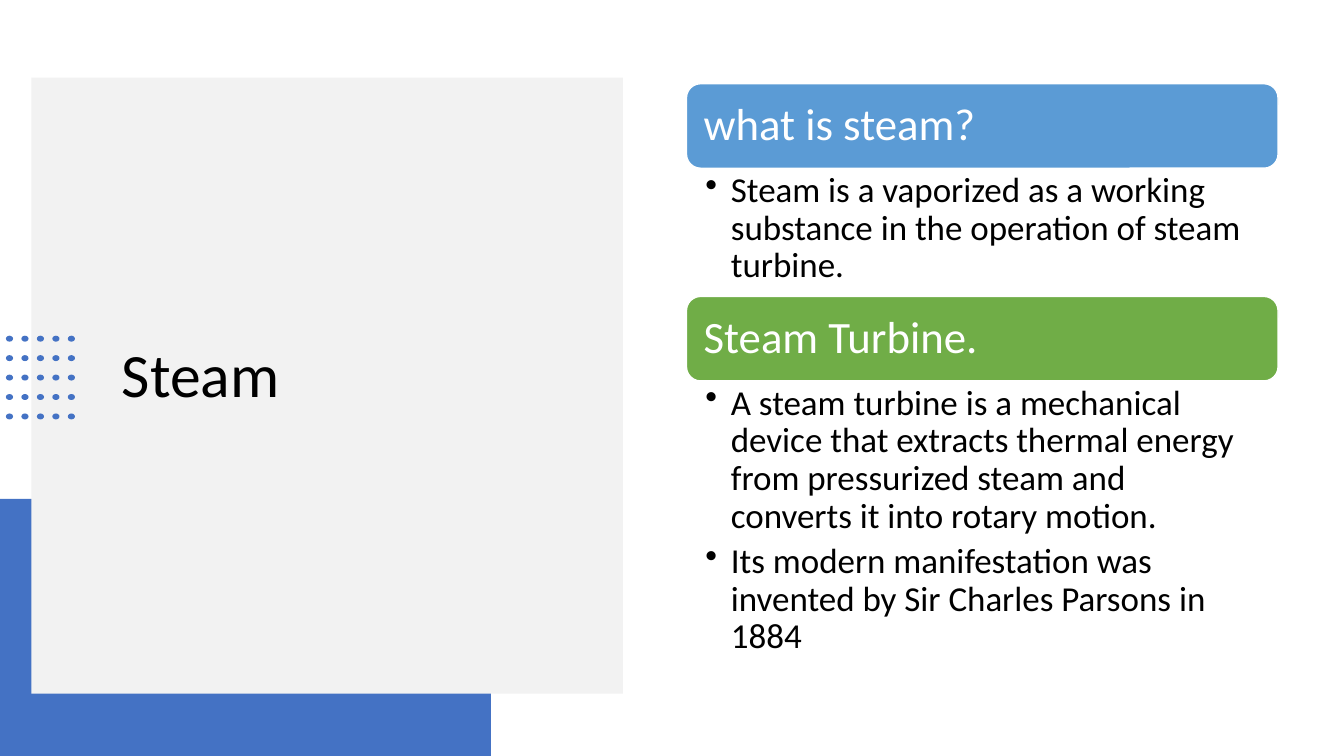
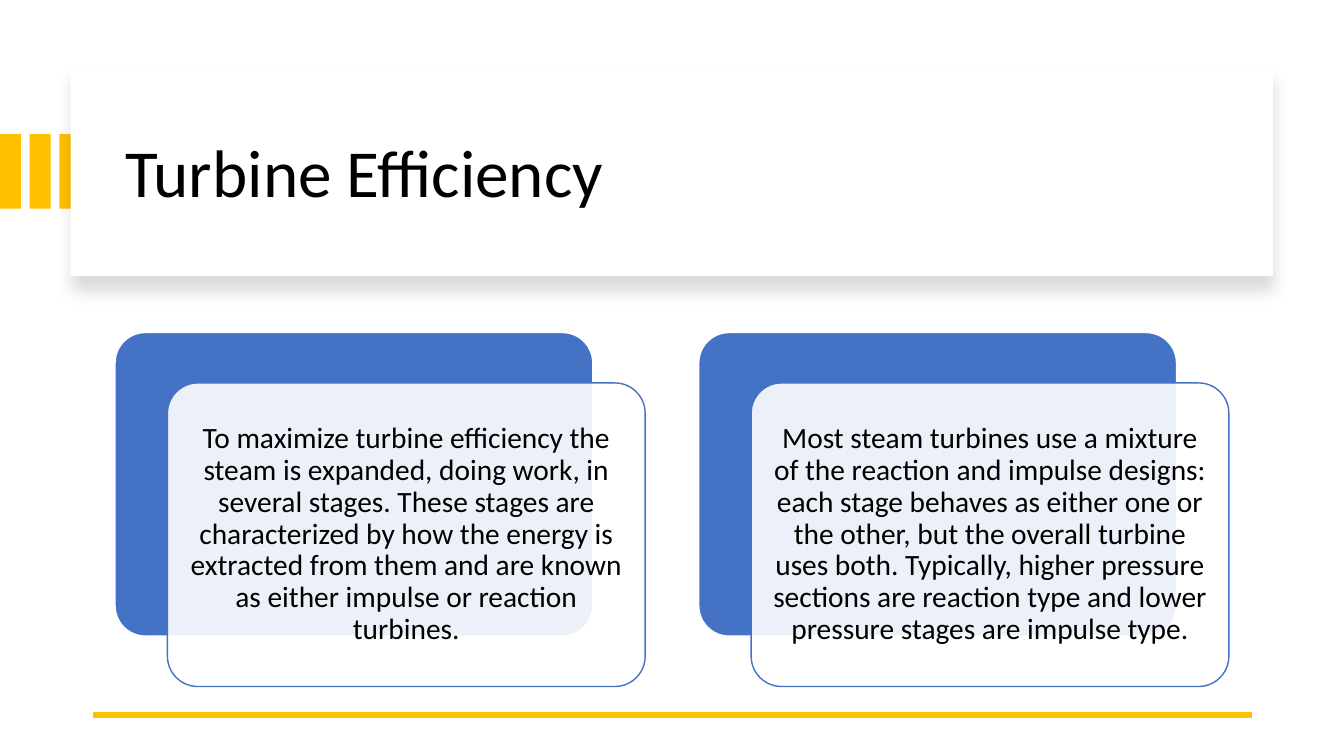
from lxml import etree
from pptx import Presentation
from pptx.dml.color import RGBColor
from pptx.enum import shapes, text
from pptx.oxml.ns import qn
from pptx.util import Cm, Pt

COLORS = {
    "blue": "4472C4", "sky": "5B9BD5", "green": "70AD47", "gold": "FFC000",
    "grey": "F2F2F2", "white": "FFFFFF", "black": "000000",
}
FONT = "Calibri"
RECT = shapes.MSO_SHAPE.RECTANGLE
ROUNDED = shapes.MSO_SHAPE.ROUNDED_RECTANGLE
LEFT, CENTER = text.PP_ALIGN.LEFT, text.PP_ALIGN.CENTER
MIDDLE, TOP = text.MSO_ANCHOR.MIDDLE, text.MSO_ANCHOR.TOP


def add_box(slide, kind, box, fill, line=None):
    """Add a flat preset shape; box is left, top, width, height in cm."""
    shape = slide.shapes.add_shape(kind, *map(Cm, box))
    shape.shadow.inherit = False
    shape.fill.solid()
    shape.fill.fore_color.rgb = RGBColor.from_string(COLORS[fill])
    if line:
        shape.line.color.rgb = RGBColor.from_string(COLORS[line])
        shape.line.width = Pt(1)
    else:
        shape.line.fill.background()
    return shape


def write(shape, content, size, color="black", align=LEFT, anchor=MIDDLE, insets=None):
    """Fill a shape with formatted text; insets are left, top, right, bottom in cm."""
    frame = shape.text_frame
    frame.word_wrap = True
    frame.vertical_anchor = anchor
    if insets:
        (frame.margin_left, frame.margin_top,
         frame.margin_right, frame.margin_bottom) = map(Cm, insets)
    frame.text = content
    for paragraph in frame.paragraphs:
        paragraph.alignment = align
        paragraph.line_spacing = 0.9
        font = paragraph.runs[0].font
        font.name = FONT
        font.size = Pt(size)
        font.color.rgb = RGBColor.from_string(COLORS[color])


presentation = Presentation()
presentation.slide_width, presentation.slide_height = Cm(33.87), Cm(19.05)
title_only = presentation.slide_layouts[5]
steam = presentation.slides.add_slide(title_only)
efficiency = presentation.slides.add_slide(title_only)

# Slide 1: backdrop, dot grid and headed bullet sections
add_box(steam, RECT, (0, 12.57, 12.37, 6.48), "blue")
add_box(steam, RECT, (0.79, 1.96, 14.91, 15.52), "grey")
for column in range(5):
    for row in range(5):
        dot = (0.15 + 0.39 * column, 8.46 + 0.49 * row, 0.18, 0.15)
        add_box(steam, shapes.MSO_SHAPE.OVAL, dot, "blue")

sections = [
    ("what is steam?", "sky", 3.23,
     ["Steam is a vaporized as a working substance in the operation of steam turbine."]),
    ("Steam Turbine.", "green", 7.37,
     ["A steam turbine is a mechanical device that extracts thermal energy "
      "from pressurized steam and converts it into rotary motion.",
      "Its modern manifestation was invented by Sir Charles Parsons in 1884"]),
]
section_left, section_width, heading_height = 17.3, 14.91, 2.13
top = 2.11
for heading, color, body_height, bullets in sections:
    bar = add_box(steam, ROUNDED, (section_left, top, section_width, heading_height),
                  color, "white")
    write(bar, heading, 32, "white", insets=[0.33] * 4)
    top += heading_height
    body = steam.shapes.add_textbox(Cm(section_left), Cm(top), Cm(section_width), Cm(body_height))
    write(body, "\n".join(bullets), 25, anchor=TOP, insets=(0.48, 0.1, 0.64, 0.1))
    for paragraph in body.text_frame.paragraphs:
        paragraph.space_after = Pt(5)
        properties = paragraph._p.get_or_add_pPr()
        properties.set("marL", str(Cm(0.64)))
        properties.set("indent", str(-Cm(0.64)))
        etree.SubElement(properties, qn("a:buChar"), char="•")
    top += body_height

# Slide 2: header panel, base line and layered cards
for column in range(3):
    add_box(efficiency, RECT, (0.75 * column, 3.38, 0.53, 1.88), "gold")

panel = add_box(efficiency, RECT, (1.78, 1.7, 30.3, 5.26), "white")
effects = panel._element.spPr.find(qn("a:effectLst"))
shadow = etree.SubElement(effects, qn("a:outerShdw"), blurRad=str(Pt(11)),
                          dist=str(Pt(10)), dir="5400000", rotWithShape="0")
shadow_color = etree.SubElement(shadow, qn("a:srgbClr"), val=COLORS["black"])
etree.SubElement(shadow_color, qn("a:alpha"), val="15000")

base_line = efficiency.shapes.add_connector(
    shapes.MSO_CONNECTOR.STRAIGHT, Cm(31.55), Cm(18.01), Cm(2.34), Cm(18.01))
base_line.line.color.rgb = RGBColor.from_string(COLORS["gold"])
base_line.line.width = Pt(4.5)
etree.SubElement(base_line._element.spPr, qn("a:effectLst"))

cards = [
    "To maximize turbine efficiency the steam is expanded, doing work, in several "
    "stages. These stages are characterized by how the energy is extracted from them "
    "and are known as either impulse or reaction turbines.",
    "Most steam turbines use a mixture of the reaction and impulse designs: each stage "
    "behaves as either one or the other, but the overall turbine uses both. Typically, "
    "higher pressure sections are reaction type and lower pressure stages are impulse type.",
]
card_width, card_height = 12.04, 7.65
for index, content in enumerate(cards):
    left, top = 2.9 + 14.71 * index, 8.38
    back = add_box(efficiency, ROUNDED, (left, top, card_width, card_height), "blue", "white")
    front = add_box(efficiency, ROUNDED, (left + 1.32, top + 1.27, card_width, card_height),
                    "white", "blue")
    back.adjustments[0] = front.adjustments[0] = 0.1
    front_color = front._element.spPr.find(qn("a:solidFill")).find(qn("a:srgbClr"))
    etree.SubElement(front_color, qn("a:alpha"), val="90000")
    write(front, content, 21, align=CENTER, insets=[0.23] * 4)

# Titles, raised above the panels behind them
titles = [
    (steam, "Steam", 44, (2.82, 3.73, 11.66, 11.58)),
    (efficiency, "Turbine Efficiency", 48, (2.9, 2.26, 28.27, 4.32)),
]
for slide, content, size, box in titles:
    title = slide.shapes.title
    title.left, title.top, title.width, title.height = map(Cm, box)
    write(title, content, size)
    slide.shapes._spTree.append(title._element)

presentation.save("out.pptx")
